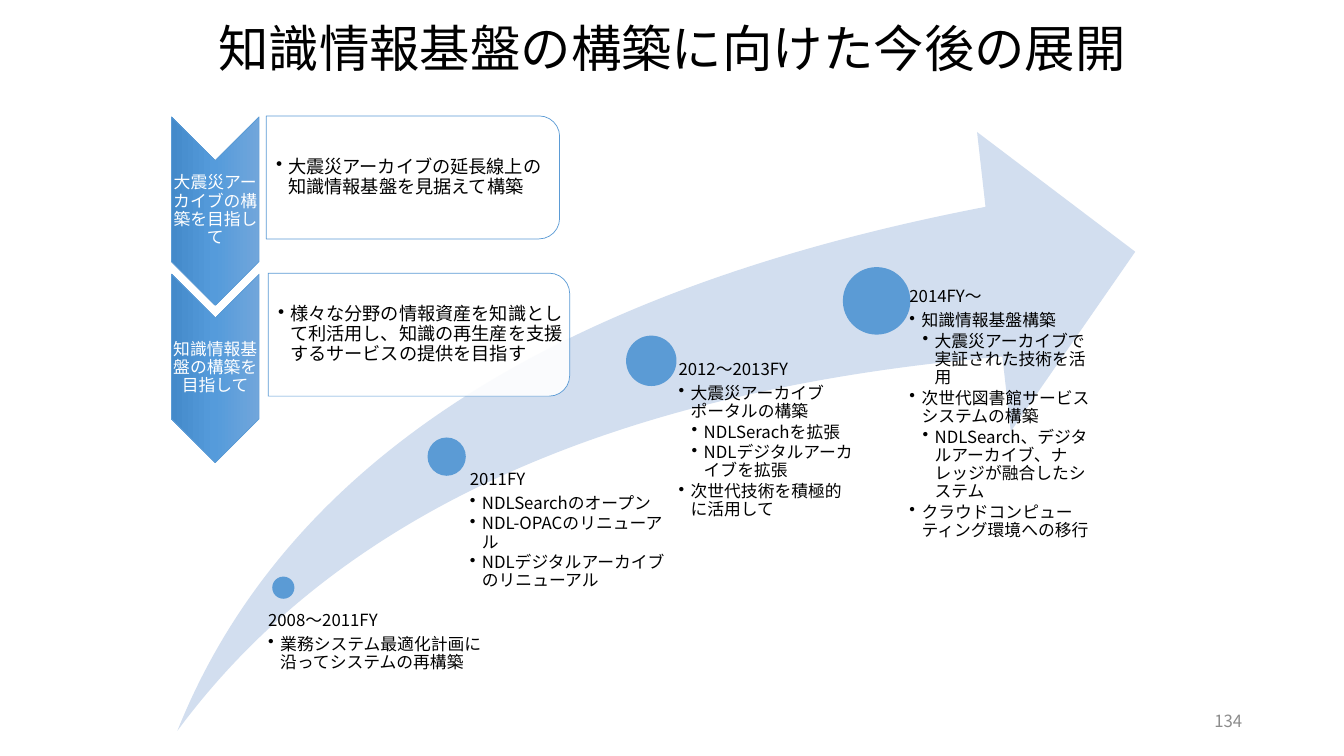
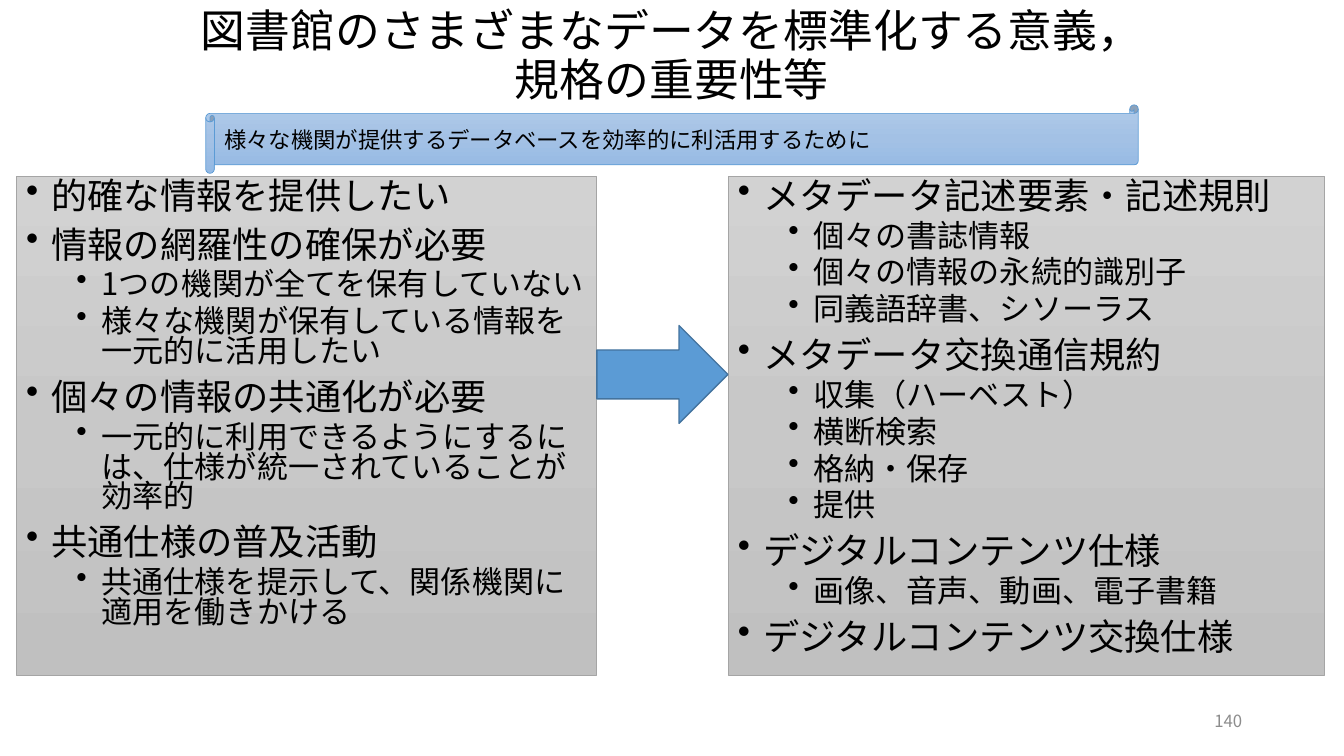
from copy import deepcopy

from lxml.etree import SubElement
from pptx import Presentation
from pptx.dml.color import RGBColor
from pptx.enum.shapes import MSO_SHAPE as SHAPE
from pptx.enum.text import MSO_ANCHOR as ANCHOR, PP_ALIGN as ALIGN
from pptx.oxml.ns import qn
from pptx.util import Inches, Pt

FONT = "Noto Sans CJK JP"
BLACK, WHITE, GRAY = "000000", "FFFFFF", "8C8C8C"
BLUE, DARK_BLUE, PALE_BLUE = "5B9BD5", "43739E", "D2DEEF"
CHEVRON_FILL = ("71A6DB", "559BDB", "448ACA")
SCROLL_FILL = ("B1CBE9", "A3C1E5", "93B9E4")
PANEL_FILL, PANEL_LINE = ("D2D2D2", "C8C8C8", "C0C0C0"), "A5A5A5"
DEFAULT_INSETS = (0.1, 0.05, 0.1, 0.05)
TIGHT_INSETS = (0.01,) * 4


def color(value):
    return RGBColor.from_string(value)


def text_style(size, text_color=BLACK, indent=0, hanging=0, **paragraph_format):
    return {"size": size, "color": text_color, "indent": indent,
            "hanging": hanging, "format": paragraph_format}


# Text styles, one list entry per outline level
NUMBER = [text_style(12, GRAY, alignment=ALIGN.RIGHT)]
CAPTION = [text_style(16)]
CHEVRON_LABEL = [text_style(12, WHITE, alignment=ALIGN.CENTER, line_spacing=0.9)]
CALLOUT = [text_style(13, indent=0.12, hanging=0.12, line_spacing=0.9)]
MILESTONE = [text_style(12, line_spacing=0.9, space_after=Pt(4.2))] + [
    text_style(12, indent=indent, hanging=0.12, line_spacing=0.9, space_after=Pt(1.8))
    for indent in (0.12, 0.25)]
OUTLINE = [
    text_style(size, indent=indent, hanging=0.25, line_spacing=0.8, space_before=Pt(before))
    for size, indent, before in ((25.9, 0.25, 10), (22.2, 0.75, 5))]


class Deck:
    """Holds the presentation, its style and the current slide."""

    def __init__(self):
        self.presentation = Presentation()
        self.presentation.slide_width = Inches(13.33)
        self.presentation.slide_height = Inches(7.5)
        self.slide = None

    def new_slide(self, title, size, height, number):
        self.slide = self.presentation.slides.add_slide(self.presentation.slide_layouts[6])
        heading = [text_style(size, alignment=ALIGN.CENTER, line_spacing=0.9)]
        self.text((0, 0, 13.33, height), [(0, title)], heading, anchor=ANCHOR.MIDDLE)
        self.text((9.42, 6.95, 3, 0.4), [(0, number)], NUMBER, anchor=ANCHOR.MIDDLE)

    def text(self, box, items, styles, **frame_options):
        textbox = self.slide.shapes.add_textbox(*map(Inches, box))
        self.set_text(textbox, items, styles, **frame_options)

    def set_text(self, shape, items, styles, anchor=ANCHOR.TOP, insets=DEFAULT_INSETS):
        frame = shape.text_frame
        left, top, right, bottom = map(Inches, insets)
        settings = {"word_wrap": True, "vertical_anchor": anchor, "margin_left": left,
                    "margin_top": top, "margin_right": right, "margin_bottom": bottom}
        for name, value in settings.items():
            setattr(frame, name, value)
        for index, (level, content) in enumerate(items):
            paragraph = frame.add_paragraph() if index else frame.paragraphs[0]
            paragraph.text = content
            self.format_paragraph(paragraph, level, styles[level], first=index == 0)

    def format_paragraph(self, paragraph, level, style, first):
        paragraph.level = level
        paragraph_format = {"alignment": ALIGN.LEFT, **style["format"]}
        if first:
            paragraph_format.pop("space_before", None)
        for name, value in paragraph_format.items():
            setattr(paragraph, name, value)
        if style["hanging"]:
            properties = paragraph._p.get_or_add_pPr()
            properties.set("marL", str(Inches(style["indent"])))
            properties.set("indent", str(-Inches(style["hanging"])))
            SubElement(properties, qn("a:buChar")).set("char", "•")
        for run in paragraph.runs:
            run.font.size = Pt(style["size"])
            run.font.name = FONT
            run.font.color.rgb = color(style["color"])
            SubElement(run._r.get_or_add_rPr(), qn("a:ea")).set("typeface", FONT)

    def shape(self, kind, box, fill, line=None, line_width=0.5, alpha=None):
        shape = self.slide.shapes.add_shape(kind, *map(Inches, box))
        shape.shadow.inherit = False
        if isinstance(fill, tuple):
            self.gradient(shape, fill)
        else:
            shape.fill.solid()
            shape.fill.fore_color.rgb = color(fill)
        if alpha is not None:
            tone = shape._element.spPr.find(f"{qn('a:solidFill')}/{qn('a:srgbClr')}")
            SubElement(tone, qn("a:alpha")).set("val", str(alpha * 1000))
        if line:
            shape.line.color.rgb = color(line)
            shape.line.width = Pt(line_width)
        else:
            shape.line.fill.background()
        return shape

    def gradient(self, shape, colors):
        """Three even stops running from top to bottom."""
        shape.fill.gradient()
        shape.fill.gradient_angle = 270
        stop_list = shape._element.spPr.find(f"{qn('a:gradFill')}/{qn('a:gsLst')}")
        stop_list.append(deepcopy(stop_list[0]))
        for index, (stop, value) in enumerate(zip(shape.fill.gradient_stops, colors)):
            stop.position = index / 2
            stop.color.rgb = color(value)

    def turned_shape(self, kind, box, fill, **options):
        """A shape turned by 90 degrees that fills the given visible box."""
        left, top, width, height = box
        shift = (width - height) / 2
        shape = self.shape(kind, (left + shift, top - shift, height, width), fill, **options)
        shape.rotation = 90

    def milestone(self, circle, box, items):
        left, top, diameter = circle
        self.shape(SHAPE.OVAL, (left, top, diameter, diameter), BLUE)
        self.text(box, items, MILESTONE, insets=(0, 0, 0, 0))

    def goal(self, top, label, width, left, callout):
        self.turned_shape(SHAPE.CHEVRON, (1.7, top, 0.87, 1.87), CHEVRON_FILL, line=BLUE)
        self.text((1.7, top + 0.43, 0.87, 1), [(0, label)], CHEVRON_LABEL,
                  anchor=ANCHOR.MIDDLE, insets=TIGHT_INSETS)
        self.turned_shape(SHAPE.ROUND_2_SAME_RECTANGLE, (left, top - 0.01, width, 1.22),
                          WHITE, line=BLUE, alpha=90)
        self.text((left, top + 0.05, width - 0.06, 1.1), [(0, callout)], CALLOUT,
                  anchor=ANCHOR.MIDDLE, insets=(0.1, 0.01, 0.01, 0.01))

    def panel(self, left, width, items):
        panel = self.shape(SHAPE.RECTANGLE, (left, 1.75, width, 4.95), PANEL_FILL, PANEL_LINE)
        self.set_text(panel, items, OUTLINE)


# Content: circle (left, top, diameter), text box, (level, text) items
MILESTONES = [
    ((2.7, 5.72, 0.22), (2.66, 6.07, 2.2, 0.99), [
        (0, "2008～2011FY"),
        (1, "業務システム最適化計画に沿ってシステムの再構築")]),
    ((4.24, 4.34, 0.38), (4.66, 4.67, 2.06, 2.01), [
        (0, "2011FY"),
        (1, "NDLSearchのオープン"),
        (1, "NDL-OPACのリニューアル"),
        (1, "NDLデジタルアーカイブのリニューアル")]),
    ((6.21, 3.33, 0.5), (6.73, 3.58, 1.73, 3.67), [
        (0, "2012～2013FY"),
        (1, "大震災アーカイブポータルの構築"),
        (2, "NDLSerachを拡張"),
        (2, "NDLデジタルアーカイブを拡張"),
        (1, "次世代技術を積極的に活用して")]),
    ((8.36, 2.65, 0.67), (9.02, 2.86, 1.82, 4.26), [
        (0, "2014FY～"),
        (1, "知識情報基盤構築"),
        (2, "大震災アーカイブで実証された技術を活用"),
        (1, "次世代図書館サービスシステムの構築"),
        (2, "NDLSearch、デジタルアーカイブ、ナレッジが融合したシステム"),
        (1, "クラウドコンピューティング環境への移行")]),
]
GOALS = [
    ("大震災アーカイブの構築を目指して", 2.91, 2.64,
     "大震災アーカイブの延長線上の知識情報基盤を見据えて構築"),
    ("知識情報基盤の構築を目指して", 2.99, 2.66,
     "様々な分野の情報資産を知識として利活用し、知識の再生産を支援するサービスの提供を目指す"),
]
NEEDS = [
    (0, "的確な情報を提供したい"),
    (0, "情報の網羅性の確保が必要"),
    (1, "1つの機関が全てを保有していない"),
    (1, "様々な機関が保有している情報を一元的に活用したい"),
    (0, "個々の情報の共通化が必要"),
    (1, "一元的に利用できるようにするには、仕様が統一されていることが効率的"),
    (0, "共通仕様の普及活動"),
    (1, "共通仕様を提示して、関係機関に適用を働きかける"),
]
STANDARDS = [
    (0, "メタデータ記述要素・記述規則"),
    (1, "個々の書誌情報"),
    (1, "個々の情報の永続的識別子"),
    (1, "同義語辞書、シソーラス"),
    (0, "メタデータ交換通信規約"),
    (1, "収集（ハーベスト）"),
    (1, "横断検索"),
    (1, "格納・保存"),
    (1, "提供"),
    (0, "デジタルコンテンツ仕様"),
    (1, "画像、音声、動画、電子書籍"),
    (0, "デジタルコンテンツ交換仕様"),
]


def build_roadmap(deck):
    deck.new_slide("知識情報基盤の構築に向けた今後の展開", 36, 1.02, "134")
    swoosh = deck.shape(SHAPE.SWOOSH_ARROW, (1.76, 1.31, 9.5, 5.94), PALE_BLUE)
    for index in range(2):
        swoosh.adjustments[index] = 0.25
    for milestone in MILESTONES:
        deck.milestone(*milestone)
    for index, goal in enumerate(GOALS):
        deck.goal(1.16 + index * 1.56, *goal)


def build_standards(deck):
    deck.new_slide("図書館のさまざまなデータを標準化する意義，\v規格の重要性等", 32, 1.14, "140")
    deck.panel(0.16, 5.76, NEEDS)
    deck.panel(7.22, 5.92, STANDARDS)
    scroll = deck.shape(SHAPE.HORIZONTAL_SCROLL, (2.04, 1.04, 9.25, 0.68), SCROLL_FILL, BLUE)
    deck.set_text(scroll, [(0, "様々な機関が提供するデータベースを効率的に利活用するために")],
                  CAPTION, anchor=ANCHOR.MIDDLE)
    deck.shape(SHAPE.RIGHT_ARROW, (5.92, 3.23, 1.3, 0.97), BLUE, DARK_BLUE, line_width=1)


def main():
    deck = Deck()
    build_roadmap(deck)
    build_standards(deck)
    deck.presentation.save("out.pptx")


if __name__ == "__main__":
    main()
